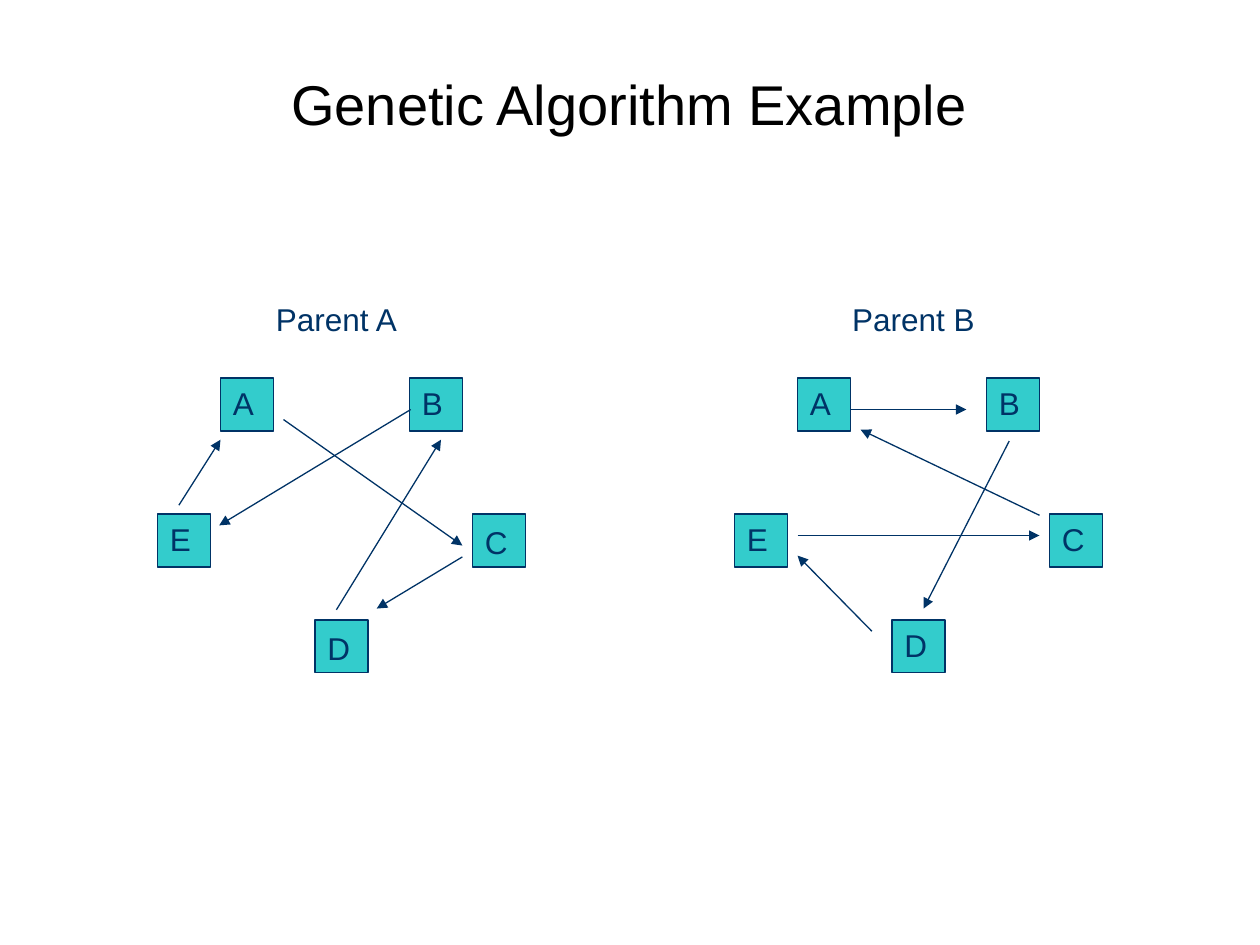
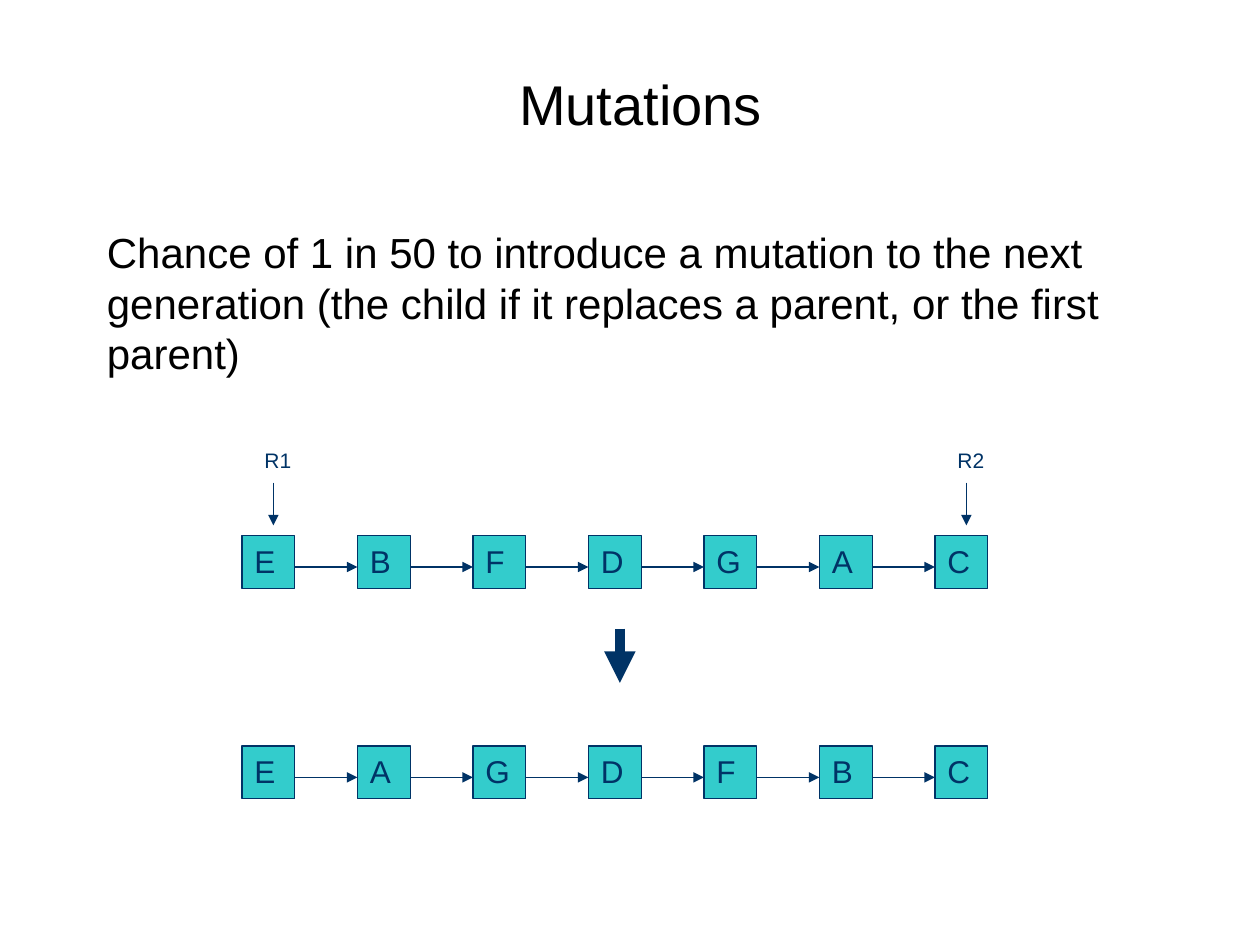
from dataclasses import dataclass
from typing import NamedTuple

from lxml import etree
from pptx import Presentation
from pptx import util as u
from pptx.dml.color import RGBColor
from pptx.enum import shapes, text
from pptx.oxml import ns
from pptx.slide import Slide


@dataclass(frozen=True)
class Theme:
    font: str = "Arial"
    black: RGBColor = RGBColor(0x00, 0x00, 0x00)
    navy: RGBColor = RGBColor(0x00, 0x33, 0x66)
    teal: RGBColor = RGBColor(0x33, 0xCC, 0xCC)
    title_size: float = 32
    body_size: float = 24
    node_size: float = 18
    marker_size: float = 12
    space_before_ratio: float = 0.625
    thin_line: float = 0.75
    thick_line: float = 6
    node_side: float = 0.42


class Area(NamedTuple):
    left: float
    top: float
    width: float
    height: float


class Arrow(NamedTuple):
    start: tuple[float, float]
    tip: tuple[float, float]
    weight: float = 0.75


class Node(NamedTuple):
    name: str
    left: float
    top: float


class Parent(NamedTuple):
    name: str
    left: float
    lowered_labels: str
    arrows: list[Arrow]


THEME = Theme()
CITIES = [
    Node("A", 0.5, 3),
    Node("B", 2, 3),
    Node("C", 2.5, 4.08),
    Node("D", 1.25, 4.92),
    Node("E", 0, 4.08),
]
PARENTS = [
    Parent("Parent A", 1.25, "CD", [
        Arrow((2.25, 3.33), (3.67, 4.33)),
        Arrow((3.67, 4.42), (2.99, 4.83)),
        Arrow((2.67, 4.84), (3.5, 3.49)),
        Arrow((3.26, 3.25), (1.74, 4.17)),
        Arrow((1.42, 4.01), (1.75, 3.49)),
    ]),
    Parent("Parent B", 5.83, "", [
        Arrow((6.75, 3.25), (7.67, 3.25)),
        Arrow((8.01, 3.5), (7.33, 4.83)),
        Arrow((6.92, 5.01), (6.33, 4.41)),
        Arrow((6.33, 4.25), (8.25, 4.25)),
        Arrow((8.25, 4.09), (6.83, 3.41)),
    ]),
]
CHAINS = {"EBFDGAC": 4.25, "EAGDFBC": 5.92}
CHAIN_LEFT = 1.92
CHAIN_PITCH = 5.5 / 6


def write_text(shape, content: str, size: float, color: RGBColor,
               align: text.PP_ALIGN = text.PP_ALIGN.LEFT) -> None:
    frame = shape.text_frame
    frame.word_wrap = True
    frame.vertical_anchor = text.MSO_ANCHOR.TOP
    frame.text = content
    para = frame.paragraphs[0]
    para.alignment = align
    para.space_before = u.Pt(size * THEME.space_before_ratio)
    span = para.runs[0]
    span.font.name = THEME.font
    span.font.size = u.Pt(size)
    span.font.color.rgb = color


def add_text(page: Slide, area: Area, content: str, size: float, color: RGBColor,
             align: text.PP_ALIGN = text.PP_ALIGN.LEFT) -> None:
    box = page.shapes.add_textbox(*map(u.Inches, area))
    write_text(box, content, size, color, align)
    box.text_frame.auto_size = text.MSO_AUTO_SIZE.SHAPE_TO_FIT_TEXT


def add_title(page: Slide, content: str, left: float) -> None:
    add_text(page, Area(left, 0.5, 7.83, 0.64), content, THEME.title_size,
             THEME.black, text.PP_ALIGN.CENTER)


def add_node(page: Slide, node: Node, label_drop: float = 0) -> None:
    side = u.Inches(THEME.node_side)
    square = page.shapes.add_shape(shapes.MSO_SHAPE.RECTANGLE, u.Inches(node.left),
                                   u.Inches(node.top), side, side)
    square.shadow.inherit = False
    square.fill.solid()
    square.fill.fore_color.rgb = THEME.teal
    square.line.color.rgb = THEME.navy
    square.line.width = u.Pt(THEME.thin_line)
    write_text(square, node.name, THEME.node_size, THEME.navy)
    square.text_frame.margin_top = u.Inches(0.05 + label_drop)


def add_arrow(page: Slide, arrow: Arrow) -> None:
    line = page.shapes.add_connector(shapes.MSO_CONNECTOR.STRAIGHT,
                                     *map(u.Inches, arrow.start + arrow.tip))
    line.line.color.rgb = THEME.navy
    line.line.width = u.Pt(arrow.weight)
    etree.SubElement(line.line._get_or_add_ln(), ns.qn("a:tailEnd"), type="triangle")
    etree.SubElement(line._element.spPr, ns.qn("a:effectLst"))


def add_parent(page: Slide, parent: Parent) -> None:
    add_text(page, Area(parent.left + 0.42, 2.33, 2, 0.4), parent.name,
             THEME.node_size, THEME.navy, text.PP_ALIGN.CENTER)
    for city in CITIES:
        drop = 0.02 if city.name in parent.lowered_labels else 0
        add_node(page, city._replace(left=parent.left + city.left), drop)
    for arrow in parent.arrows:
        add_arrow(page, arrow)


def add_chain(page: Slide, names: str, top: float) -> None:
    lefts = [CHAIN_LEFT + CHAIN_PITCH * index for index in range(len(names))]
    for name, left in zip(names, lefts):
        add_node(page, Node(name, left, top))
    for left, following in zip(lefts, lefts[1:]):
        add_arrow(page, Arrow((left + THEME.node_side, top + 0.25),
                              (following, top + 0.25)))


def add_marker(page: Slide, name: str, left: float) -> None:
    add_text(page, Area(left, 3.5, 0.42, 0.3), name, THEME.marker_size, THEME.navy)
    add_arrow(page, Arrow((left + 0.17, 3.83), (left + 0.17, 4.17)))


def build_example(page: Slide) -> None:
    add_title(page, "Genetic Algorithm Example", 1.08)
    for parent in PARENTS:
        add_parent(page, parent)


def build_mutations(page: Slide) -> None:
    add_title(page, "Mutations", 1.17)
    add_text(page, Area(0.75, 1.75, 8.75, 1.3),
             "Chance of 1 in 50 to introduce a mutation to the next generation "
             "(the child if it replaces a parent, or the first parent)",
             THEME.body_size, THEME.black)
    for names, top in CHAINS.items():
        add_chain(page, names, top)
    add_marker(page, "R1", 2)
    add_marker(page, "R2", 7.5)
    add_arrow(page, Arrow((4.92, 4.99), (4.92, 5.42), THEME.thick_line))


def main() -> None:
    deck = Presentation()
    deck.slide_width = u.Inches(10)
    deck.slide_height = u.Inches(7.5)
    for build in (build_example, build_mutations):
        build(deck.slides.add_slide(deck.slide_layouts[6]))
    deck.save("out.pptx")


if __name__ == "__main__":
    main()
